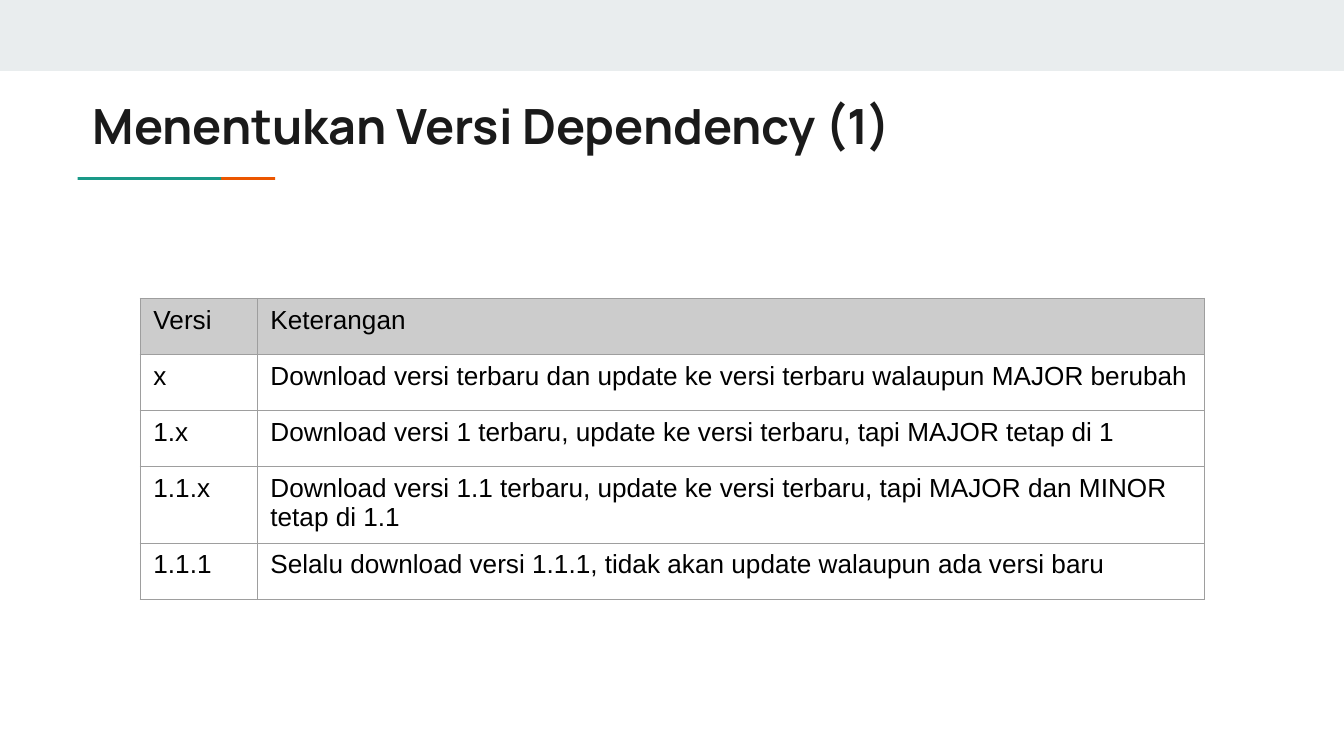
from lxml.etree import SubElement
from pptx import Presentation
from pptx.dml.color import RGBColor
from pptx.enum.shapes import MSO_SHAPE
from pptx.enum.text import MSO_ANCHOR
from pptx.oxml.ns import qn
from pptx.util import Cm, Pt

BAND_GREY = RGBColor(0xE9, 0xED, 0xEE)
ORANGE = RGBColor(0xEB, 0x56, 0x00)
TEAL = RGBColor(0x1A, 0x99, 0x88)
TITLE_INK = RGBColor(0x1A, 0x1A, 0x1A)
HEADER_GREY = RGBColor(0xCC, 0xCC, 0xCC)
BORDER_GREY = RGBColor(0x9E, 0x9E, 0x9E)
BLACK = RGBColor(0, 0, 0)

VERSIONS = [
    ("Versi", "Keterangan"),
    ("x", "Download versi terbaru dan update ke versi terbaru walaupun MAJOR berubah"),
    ("1.x", "Download versi 1 terbaru, update ke versi terbaru, tapi MAJOR tetap di 1"),
    ("1.1.x", "Download versi 1.1 terbaru, update ke versi terbaru, tapi MAJOR dan MINOR tetap di 1.1"),
    ("1.1.1", "Selalu download versi 1.1.1, tidak akan update walaupun ada versi baru"),
]
COLUMN_WIDTHS = (Cm(2.21), Cm(17.91))
ROW_HEIGHT = Cm(1.06)


def add_bar(page, left, top, width, height, color):
    bar = page.shapes.add_shape(MSO_SHAPE.RECTANGLE, left, top, width, height)
    bar.shadow.inherit = False
    bar.fill.solid()
    bar.fill.fore_color.rgb = color
    bar.line.fill.background()


def style_font(font, name, size, color, bold=False):
    font.name = name
    font.size = Pt(size)
    font.color.rgb = color
    font.bold = bold


def add_title(page, text):
    box = page.shapes.add_textbox(Cm(1.5), Cm(1.57), Cm(21.36), Cm(1.47))
    frame = box.text_frame
    frame.word_wrap = True
    frame.vertical_anchor = MSO_ANCHOR.TOP
    frame.margin_left = frame.margin_right = Cm(0.25)
    frame.margin_top = frame.margin_bottom = Cm(0.25)
    para = frame.paragraphs[0]
    para.text = text
    style_font(para.font, "Manrope", 26, TITLE_INK, bold=True)


def add_borders(cell):
    properties = cell._tc.get_or_add_tcPr()
    # Border lines must come before the fill in the cell properties
    for index, side in enumerate(("a:lnL", "a:lnR", "a:lnT", "a:lnB")):
        line = SubElement(properties, qn(side), w=str(Pt(0.75)))
        fill = SubElement(line, qn("a:solidFill"))
        SubElement(fill, qn("a:srgbClr"), val=str(BORDER_GREY))
        properties.insert(index, line)


def fill_cell(cell, text, is_header):
    cell.margin_left = cell.margin_right = Cm(0.25)
    cell.margin_top = cell.margin_bottom = Cm(0.13)
    para = cell.text_frame.paragraphs[0]
    para.text = text
    style_font(para.font, "Arial", 14, BLACK)
    if is_header:
        cell.fill.solid()
        cell.fill.fore_color.rgb = HEADER_GREY
    else:
        cell.fill.background()
    add_borders(cell)


def add_version_table(page):
    table = page.shapes.add_table(
        len(VERSIONS), len(COLUMN_WIDTHS), Cm(2.65), Cm(5.64),
        sum(COLUMN_WIDTHS), ROW_HEIGHT * len(VERSIONS)).table
    table.horz_banding = False
    for column, width in zip(table.columns, COLUMN_WIDTHS):
        column.width = width
    for row_index, texts in enumerate(VERSIONS):
        table.rows[row_index].height = ROW_HEIGHT
        for column_index, text in enumerate(texts):
            fill_cell(table.cell(row_index, column_index), text, row_index == 0)


def main():
    deck = Presentation()
    deck.slide_width, deck.slide_height = Cm(25.4), Cm(14.29)
    page = deck.slides.add_slide(deck.slide_layouts[6])

    # Top band and two-colour rule under the title
    add_bar(page, 0, 0, deck.slide_width, Cm(1.34), BAND_GREY)
    add_bar(page, Cm(2.51), Cm(3.35), Cm(2.69), Cm(0.05), ORANGE)
    add_bar(page, Cm(1.47), Cm(3.35), Cm(2.71), Cm(0.05), TEAL)

    # Content
    add_title(page, "Menentukan Versi Dependency (1)")
    add_version_table(page)
    deck.save("out.pptx")


if __name__ == "__main__":
    main()
